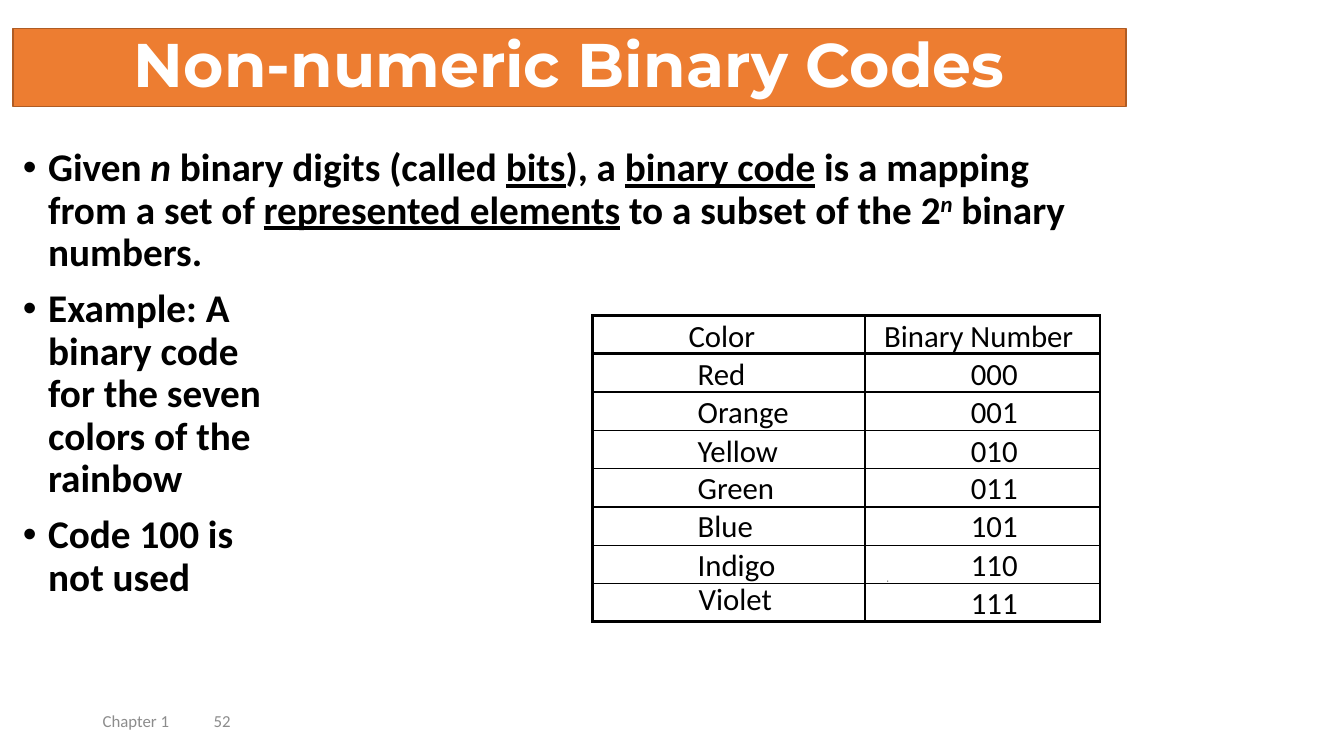
from lxml.etree import SubElement
from pptx import Presentation
from pptx.dml.color import RGBColor
from pptx.enum.shapes import MSO_SHAPE as SHAPE
from pptx.enum.text import MSO_ANCHOR as ANCHOR, MSO_AUTO_SIZE as AUTO, PP_ALIGN as ALIGN
from pptx.oxml.ns import qn
from pptx.util import Pt

EMU_PER_PX = 9144  # 100 px to the inch
BLACK, WHITE, GREY = "000000", "FFFFFF", "8C8C8C"
ORANGE, RUST = "ED7D31", "AF5C24"
THIN, THICK = 1, 2.25

DEFINITION = [
    ("Given ", {}), ("n", {"italic": True}), (" binary digits (called ", {}),
    ("bits", {"underline": True}), ("), a ", {}),
    ("binary code", {"underline": True}), (" is a mapping from a set of ", {}),
    ("represented elements", {"underline": True}),
    (" to a subset of the 2", {}), ("n", {"italic": True, "baseline": 30}),
    (" binary numbers.", {}),
]
BULLETS = [
    DEFINITION,
    [("Example: A\nbinary code\nfor the seven\ncolors of the\nrainbow", {})],
    [("Code 100 is \nnot used", {})],
]
# Color name, width of its label, binary number
CODES = [
    ("Red", 48, "000"), ("Orange", 91, "001"), ("Yellow", 81, "010"),
    ("Green", 77, "011"), ("Blue", 55, "101"), ("Indigo", 78, "110"),
    ("Violet", 80, "111"),
]


def px(n):
    return n * EMU_PER_PX


def color(hex_code):
    return RGBColor.from_string(hex_code)


def add_text(p, text, size=22, font="Calibri", fill=BLACK, bold=False,
             italic=False, underline=False, baseline=0):
    for i, line in enumerate(text.split("\n")):
        if i:
            p.add_line_break()
        r = p.add_run()
        r.text = line
        f = r.font
        f.size, f.name, f.bold, f.italic = Pt(size), font, bold, italic
        f.underline = underline
        f.color.rgb = color(fill)
        if baseline:
            r._r.get_or_add_rPr().set("baseline", str(baseline * 1000))


def add_textbox(s, x, y, w, h, anchor=ANCHOR.TOP):
    tf = s.shapes.add_textbox(px(x), px(y), px(w), px(h)).text_frame
    tf.word_wrap = True
    tf.vertical_anchor = anchor
    return tf


def add_label(s, text, x, y, w):
    tf = add_textbox(s, x, y, w, 37)
    tf.word_wrap = False
    tf.auto_size = AUTO.SHAPE_TO_FIT_TEXT
    tf.margin_left = tf.margin_right = tf.margin_top = tf.margin_bottom = 0
    p = tf.paragraphs[0]
    before = SubElement(p._p.get_or_add_pPr(), qn("a:spcBef"))
    SubElement(before, qn("a:spcPct"), val="20000")
    add_text(p, text)


def add_rect(s, x, y, w, h, fill, line=None):
    sp = s.shapes.add_shape(SHAPE.RECTANGLE, px(x), px(y), px(w), px(h))
    sp.shadow.inherit = False
    sp.fill.solid()
    sp.fill.fore_color.rgb = color(fill)
    if line:
        sp.line.color.rgb = color(line)
        sp.line.width = Pt(1)
    else:
        sp.line.fill.background()
    return sp


def add_title(s, text):
    tf = add_rect(s, 13, 28, 1104, 78, ORANGE, RUST).text_frame
    tf.word_wrap = True
    tf.vertical_anchor = ANCHOR.MIDDLE
    p = tf.paragraphs[0]
    p.alignment, p.line_spacing = ALIGN.CENTER, 0.9
    add_text(p, text, size=44, font="Montserrat", fill=WHITE, bold=True)


def add_bullets(s, items):
    tf = add_textbox(s, 13, 142, 1104, 533)
    for i, runs in enumerate(items):
        p = tf.add_paragraph() if i else tf.paragraphs[0]
        p.line_spacing, p.space_before = 0.9, Pt(10)
        pPr = p._p.get_or_add_pPr()
        pPr.set("marL", str(px(25)))
        pPr.set("indent", str(px(-25)))
        SubElement(pPr, qn("a:buFont"), typeface="Arial")
        SubElement(pPr, qn("a:buChar"), char="•")
        for text, style in runs:
            add_text(p, text, size=28, bold=True, **style)


def add_footer(s, chapter, number):
    p = add_textbox(s, 92, 695, 300, 40, ANCHOR.MIDDLE).paragraphs[0]
    tabs = SubElement(p._p.get_or_add_pPr(), qn("a:tabLst"))
    SubElement(tabs, qn("a:tab"), pos=str(px(110)), algn="l")
    add_text(p, f"{chapter}\t{number}", size=12, fill=GREY)


def set_borders(cell, **widths):
    tcPr = cell._tc.get_or_add_tcPr()
    for i, side in enumerate("LRTB"):
        ln = tcPr.makeelement(qn("a:ln" + side), {"w": str(Pt(widths[side]))})
        solid = SubElement(ln, qn("a:solidFill"))
        SubElement(solid, qn("a:srgbClr"), val=BLACK)
        tcPr.insert(i, ln)


def add_grid(s, row_count):
    frame = s.shapes.add_table(row_count, 2, px(588), px(313), px(503), px(304))
    table = frame.table
    table.first_row = table.horz_banding = False
    for column, width in zip(table.columns, (270, 233)):
        column.width = px(width)
    last = row_count - 1
    for i, row in enumerate(table.rows):
        row.height = px(38)
        for j, cell in enumerate(row.cells):
            cell.fill.background()
            cell.margin_top = cell.margin_bottom = 0
            set_borders(cell,
                        L=THIN if j else THICK,
                        R=THICK if j else THIN,
                        T=THICK if i < 2 else THIN,
                        B=THICK if i in (0, last) else THIN)


def add_code_labels(s, codes):
    add_label(s, "Binary Number", 877, 314, 190)
    add_label(s, "Color", 683, 314, 67)
    for i, (name, width, number) in enumerate(codes, start=1):
        y = 314 + round(i * 265 / 7)
        add_label(s, number, 963, y, 47)
        # The last name sits slightly higher than its row
        x, top = (693, y - 4) if i == len(codes) else (692, y)
        add_label(s, name, x, top, width)


def main():
    prs = Presentation()
    prs.slide_width, prs.slide_height = px(1333), px(750)
    s = prs.slides.add_slide(prs.slide_layouts[6])

    # Footer, definition and title
    add_footer(s, "Chapter 1", 52)
    add_bullets(s, BULLETS)
    add_title(s, "Non-numeric Binary Codes")

    # Small dot, code labels and the grid around them
    add_rect(s, 880, 576, 1, 1, BLACK)
    add_code_labels(s, CODES)
    add_grid(s, len(CODES) + 1)

    prs.save("out.pptx")


if __name__ == "__main__":
    main()
